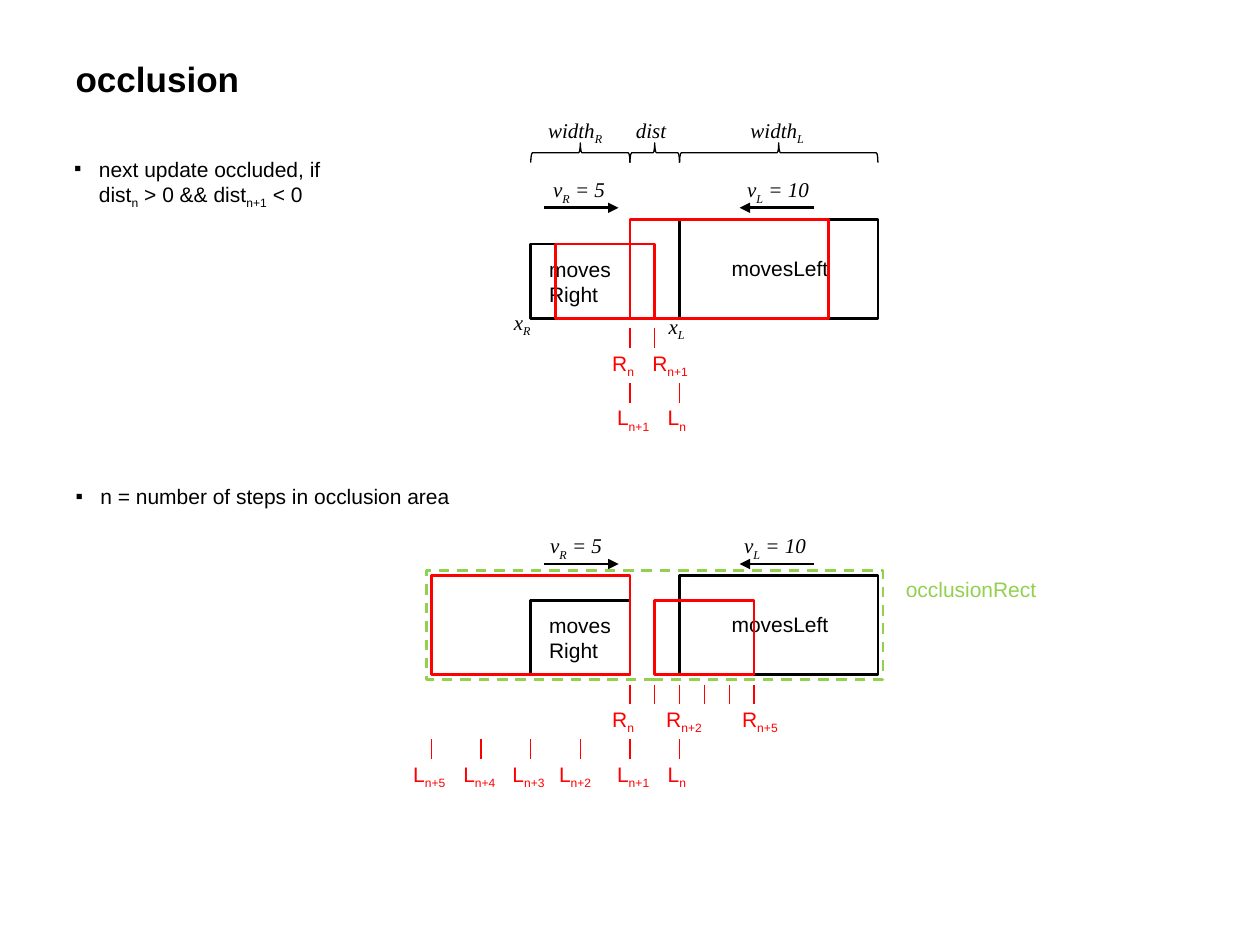
from dataclasses import dataclass

from lxml.etree import SubElement
from pptx import Presentation
from pptx.dml.color import RGBColor
from pptx.enum.dml import MSO_LINE_DASH_STYLE as Dash
from pptx.enum.shapes import MSO_CONNECTOR as Connector, MSO_SHAPE as Shape
from pptx.enum.text import MSO_ANCHOR as Anchor, MSO_AUTO_SIZE as AutoSize, PP_ALIGN as Align
from pptx.oxml.ns import qn
from pptx.util import Cm, Pt


@dataclass(frozen=True)
class Theme:
    black: RGBColor = RGBColor(0x00, 0x00, 0x00)
    red: RGBColor = RGBColor(0xFF, 0x00, 0x00)
    green: RGBColor = RGBColor(0x92, 0xD0, 0x50)
    sans: str = "Arial"
    serif: str = "Times New Roman"
    title: Pt = Pt(20)
    body: Pt = Pt(12)
    thick: Pt = Pt(1.5)
    thin: Pt = Pt(0.75)


THEME = Theme()

# Horizontal layout in cm: at step 0 the two facing edges are 1 cm apart.
RIGHT_EDGE, LEFT_EDGE = 12.7, 13.7
RIGHT_SPEED, LEFT_SPEED = 0.5, 1.0
RIGHT_SIZE, LEFT_SIZE = (2, 1.5), (4, 2)

# Left side of each step label, in cm.
RIGHT_LABELS = {0: 12.09, 1: 12.9, 2: 13.18, 5: 14.71}
LEFT_LABELS = {0: 13.21, 1: 12.19, 2: 11.02, 3: 10.08, 4: 9.09, 5: 8.08}


def fill_paragraph(paragraph, text, size=THEME.body, color=THEME.black,
                   font=THEME.sans, bold=False):
    """Write text in which every second part between bars is a subscript."""
    first, *others = text.split("|")
    paragraph.text = first
    for index, part in enumerate(others, 1):
        run = paragraph.add_run()
        run.text = part
        if index % 2:
            run._r.get_or_add_rPr().set("baseline", "-25000")
    for run in paragraph.runs:
        run.font.size, run.font.name, run.font.bold = size, font, bold
        run.font.italic = font == THEME.serif
        run.font.color.rgb = color


def place(shape, left, top, width, height):
    shape.left, shape.top = Cm(left), Cm(top)
    shape.width, shape.height = Cm(width), Cm(height)


def add_title(slide, text):
    title = slide.shapes.title
    place(title, 1.27, 0.76, 22.86, 1.65)
    title.text_frame.vertical_anchor = Anchor.MIDDLE
    paragraph = title.text_frame.paragraphs[0]
    paragraph.alignment = Align.LEFT
    fill_paragraph(paragraph, text, size=THEME.title, bold=True)


def add_bullet(placeholder, left, top, text):
    place(placeholder, left, top, 22.86, 1.7)
    placeholder.text_frame.auto_size = AutoSize.NONE
    paragraph = placeholder.text_frame.paragraphs[0]
    paragraph.space_before = Pt(0)
    properties = paragraph._p.get_or_add_pPr()
    properties.set("marL", str(Cm(0.5)))
    properties.set("indent", str(-Cm(0.5)))
    SubElement(properties, qn("a:buChar"), char="▪")
    fill_paragraph(paragraph, text)


def add_label(slide, left, top, width, text, color=THEME.black, font=THEME.sans, height=0.76):
    box = slide.shapes.add_textbox(Cm(left), Cm(top), Cm(width), Cm(height))
    box.text_frame.word_wrap = False
    box.text_frame.auto_size = AutoSize.SHAPE_TO_FIT_TEXT
    fill_paragraph(box.text_frame.paragraphs[0], text, color=color, font=font)


def add_outline(slide, left, top, width, height, color=THEME.black,
                kind=Shape.RECTANGLE, weight=THEME.thick):
    shape = slide.shapes.add_shape(kind, Cm(left), Cm(top), Cm(width), Cm(height))
    shape.shadow.inherit = False
    shape.fill.background()
    shape.line.color.rgb = color
    shape.line.width = weight
    return shape


def add_brace(slide, start, end):
    """Add a brace that points up and spans start to end."""
    thickness, middle = 0.4, 3.08
    span = end - start
    brace = add_outline(slide, (start + end - thickness) / 2, middle - span / 2, thickness, span,
                        kind=Shape.RIGHT_BRACE, weight=THEME.thin)
    brace.rotation = 270


def add_line(slide, start, end, color, weight):
    line = slide.shapes.add_connector(Connector.STRAIGHT, *map(Cm, start + end))
    line.line.color.rgb = color
    line.line.width = weight
    SubElement(line._element.spPr, qn("a:effectLst"))
    return line


def add_arrow(slide, start, end, y):
    arrow = add_line(slide, (start, y), (end, y), THEME.black, THEME.thick)
    SubElement(arrow.line._get_or_add_ln(), qn("a:tailEnd"), type="triangle")


def right_edge(step):
    return RIGHT_EDGE + RIGHT_SPEED * step


def left_edge(step):
    return LEFT_EDGE - LEFT_SPEED * step


def add_movers(slide, bottom, step, color):
    """Add both moving rectangles where they stand after the given step."""
    width, height = LEFT_SIZE
    add_outline(slide, left_edge(step), bottom - height, width, height, color)
    width, height = RIGHT_SIZE
    add_outline(slide, right_edge(step) - width, bottom - height, width, height, color)


def add_scale(slide, top, letter, edge, last_step, labels):
    """Add a tick for each step up to the last, and the step labels below."""
    for step in range(last_step + 1):
        x = edge(step)
        add_line(slide, (x, top), (x, top + 0.4), THEME.red, THEME.thin)
        if step in labels:
            suffix = f"n+{step}" if step else "n"
            add_label(slide, labels[step], top + 0.32, 1.27 if step else 0.95,
                      f"{letter}|{suffix}", THEME.red)


def add_scene(slide, bottom, last_step, speed_left, right_labels):
    """Add the movers at step 0 and at the last step, with speeds and scales."""
    add_movers(slide, bottom, 0, THEME.black)
    add_arrow(slide, 10.97, 12.47, bottom - 2.23)
    add_arrow(slide, 16.41, 14.91, bottom - 2.23)
    add_label(slide, speed_left, bottom - 2.98, 1.57, "v|R| = 5", font=THEME.serif)
    add_label(slide, speed_left + 3.91, bottom - 2.98, 1.83, "v|L| = 10", font=THEME.serif)
    add_label(slide, 10.82, bottom - 1.38, 1.78, "moves\nRight", height=1.27)
    add_label(slide, 14.5, bottom - 1.4, 2.49, "movesLeft")
    add_movers(slide, bottom, last_step, THEME.red)
    add_scale(slide, bottom + 0.2, "R", right_edge, last_step, right_labels)
    add_scale(slide, bottom + 1.3, "L", left_edge, last_step, LEFT_LABELS)


def add_distances(slide):
    far_left = RIGHT_EDGE - RIGHT_SIZE[0]
    far_right = LEFT_EDGE + LEFT_SIZE[0]
    for start, end, left, width, text in (
        (far_left, RIGHT_EDGE, 10.8, 1.65, "width|R"),
        (RIGHT_EDGE, LEFT_EDGE, 12.57, 1.14, "dist"),
        (LEFT_EDGE, far_right, 14.88, 1.68, "width|L"),
    ):
        add_brace(slide, start, end)
        add_label(slide, left, 2.24, width, text, font=THEME.serif)
    add_label(slide, 10.11, 6.12, 0.89, "x|R", font=THEME.serif)
    add_label(slide, 13.23, 6.2, 0.86, "x|L", font=THEME.serif)


def add_occlusion_area(slide):
    area = add_outline(slide, 8.6, 11.5, 9.2, 2.2, THEME.green)
    area.line.dash_style = Dash.DASH
    add_label(slide, 18.01, 11.5, 3.18, "occlusionRect", THEME.green)


def main():
    presentation = Presentation()
    presentation.slide_width, presentation.slide_height = Cm(25.4), Cm(19.05)
    slide = presentation.slides.add_slide(presentation.slide_layouts.get_by_name("Two Content"))
    add_title(slide, "occlusion")
    add_bullet(slide.placeholders[1], 1.24, 3.02,
               "next update occluded, if\ndist|n| > 0 && dist|n+1| < 0")
    add_bullet(slide.placeholders[2], 1.27, 9.63, "n = number of steps in occlusion area")

    add_distances(slide)
    add_scene(slide, 6.42, 1, 10.9, RIGHT_LABELS)
    two_and_five = {step: RIGHT_LABELS[step] for step in (0, 2, 5)}
    add_scene(slide, 13.6, 5, 10.84, two_and_five)
    add_occlusion_area(slide)
    presentation.save("out.pptx")


if __name__ == "__main__":
    main()
